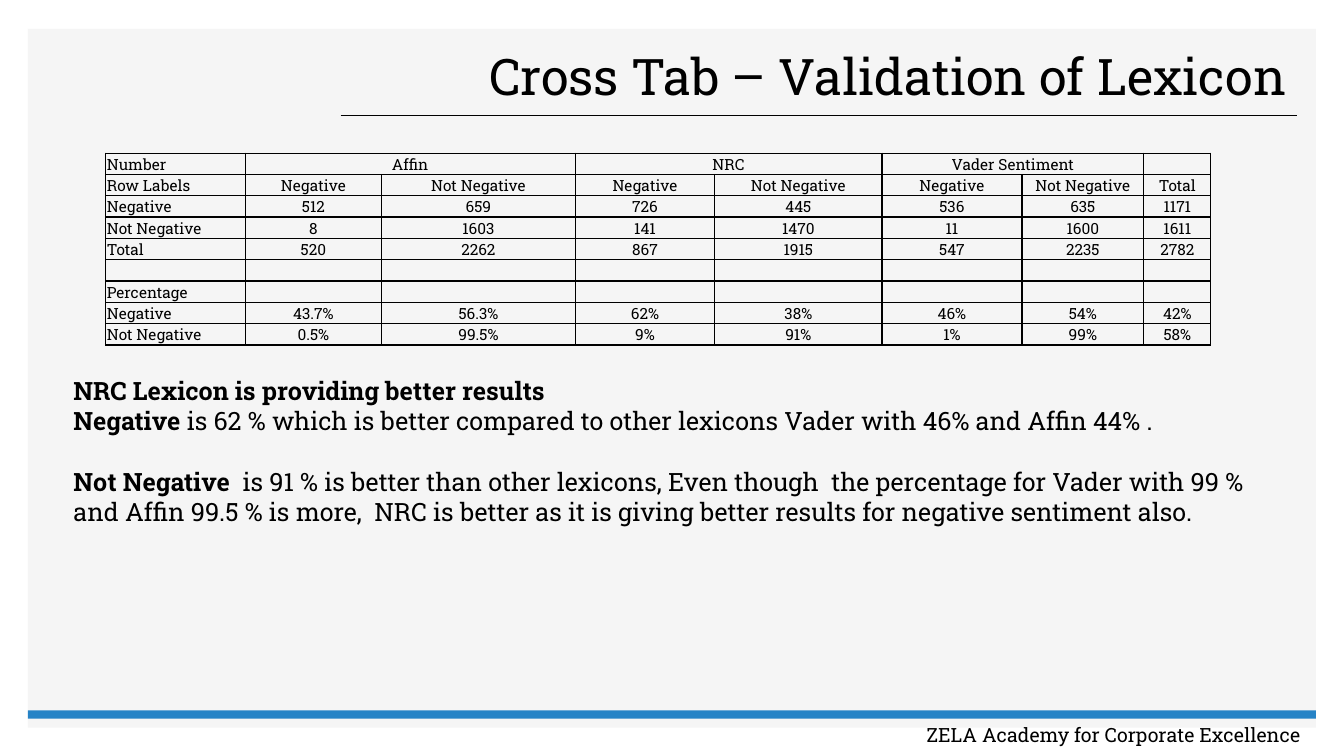
from lxml import etree
from pptx import Presentation
from pptx.dml.color import RGBColor
from pptx.enum import shapes, text
from pptx.oxml import ns
from pptx.util import Pt

COLOURS = {"ink": "000000", "panel": "F5F5F5", "accent": "2683C6"}
FONT = "Roboto Slab"
COLUMN_WIDTHS = [99.5, 97.6, 138.2, 99.7, 119.4, 100, 87.1, 47.9]
GROUPS = ["Affin", "NRC", "Vader Sentiment"]
ROWS = [
    ["Number", GROUPS[0], "", GROUPS[1], "", GROUPS[2], "", ""],
    ["Row Labels"] + ["Negative", "Not Negative"] * len(GROUPS) + ["Total"],
    ["Negative", "512", "659", "726", "445", "536", "635", "1171"],
    ["Not Negative", "8", "1603", "141", "1470", "11", "1600", "1611"],
    ["Total", "520", "2262", "867", "1915", "547", "2235", "2782"],
    [""] * 8,
    ["Percentage"] + [""] * 7,
    ["Negative", "43.7%", "56.3%", "62%", "38%", "46%", "54%", "42%"],
    ["Not Negative", "0.5%", "99.5%", "9%", "91%", "1%", "99%", "58%"],
]
FINDINGS = [
    (0, [("NRC Lexicon is providing better results", True)]),
    (0, [("Negative", True),
         (" is 62 % which is better compared to other lexicons Vader with 46% and Affin 44% .", False)]),
    (21.8, [("Not Negative", True),
            ("  is 91 % is better than other lexicons, Even though  the percentage for Vader with 99 % "
             "and Affin 99.5 % is more,  NRC is better as it is giving better results for negative "
             "sentiment also.", False)]),
]


def colour(name):
    """Return the named palette colour."""
    return RGBColor.from_string(COLOURS[name])


def add_span(para, words, size, bold=False):
    """Add one formatted run to a paragraph."""
    span = para.add_run()
    span.text = words
    span.font.name = FONT
    span.font.size = Pt(size)
    span.font.bold = bold
    span.font.color.rgb = colour("ink")


def add_block(page, box, fill):
    """Add a plain filled rectangle."""
    block = page.shapes.add_shape(shapes.MSO_SHAPE.RECTANGLE, *map(Pt, box))
    block.shadow.inherit = False
    block.fill.solid()
    block.fill.fore_color.rgb = colour(fill)
    block.line.fill.background()


def add_backdrop(page, box):
    """Draw the panel, the accent bar and the footer credit."""
    left, top, width, height = box
    add_block(page, box, "panel")
    bar_top = top + height - 12.2
    add_block(page, (left, bar_top, width, 5.8), "accent")
    footer = page.shapes.add_textbox(
        Pt(left + width - 376.6), Pt(bar_top + 5), Pt(376.6), Pt(24.5))
    frame = footer.text_frame
    frame.word_wrap = True
    frame.margin_right = Pt(10.8)
    para = frame.paragraphs[0]
    para.alignment = text.PP_ALIGN.RIGHT
    add_span(para, "ZELA Academy for Corporate Excellence", 14)


def add_heading(page, box):
    """Place the title and the rule under it."""
    left, top, width, height = box
    title = page.shapes.title
    title.left, title.top, title.width, title.height = map(Pt, box)
    page.shapes._spTree.append(title._element)
    frame = title.text_frame
    frame.word_wrap = True
    frame.auto_size = text.MSO_AUTO_SIZE.NONE
    frame.vertical_anchor = text.MSO_ANCHOR.MIDDLE
    para = frame.paragraphs[0]
    para.alignment = text.PP_ALIGN.RIGHT
    para.line_spacing = 0.9
    add_span(para, "Cross Tab – Validation of Lexicon", 36)
    right, bottom = left + width, top + height
    rule = page.shapes.add_connector(
        shapes.MSO_CONNECTOR.STRAIGHT, Pt(left - 23), Pt(bottom), Pt(right), Pt(bottom))
    rule.line.color.rgb = colour("ink")
    rule.line.width = Pt(1)
    etree.SubElement(rule._element.spPr, ns.qn("a:effectLst"))


def add_borders(cell):
    """Outline all four sides of a table cell."""
    properties = cell._tc.get_or_add_tcPr()
    for side in ("lnL", "lnR", "lnT", "lnB"):
        line = etree.SubElement(properties, ns.qn(f"a:{side}"), w=str(Pt(1)))
        fill = etree.SubElement(line, ns.qn("a:solidFill"))
        etree.SubElement(fill, ns.qn("a:srgbClr"), val=COLOURS["ink"])


def fill_cell(cell, words, alignment):
    """Style one table cell and write its words."""
    add_borders(cell)
    cell.fill.background()
    cell.margin_left = cell.margin_right = cell.margin_top = Pt(0.7)
    cell.margin_bottom = Pt(0)
    cell.vertical_anchor = text.MSO_ANCHOR.BOTTOM
    para = cell.text_frame.paragraphs[0]
    para.alignment = alignment
    if words:
        add_span(para, words, 11)
    else:
        end = etree.SubElement(para._p, ns.qn("a:endParaRPr"), sz="1100")
        etree.SubElement(end, ns.qn("a:latin"), typeface=FONT)


def add_cross_tab(page, box):
    """Build the cross tabulation of the three lexicons."""
    left, top, height = box
    holder = page.shapes.add_table(
        len(ROWS), len(COLUMN_WIDTHS), Pt(left), Pt(top), Pt(sum(COLUMN_WIDTHS)), Pt(height))
    table = holder.table
    table.first_row = table.horz_banding = False
    for column, width in zip(table.columns, COLUMN_WIDTHS):
        column.width = Pt(width)
    for row_index, row in enumerate(ROWS):
        table.rows[row_index].height = Pt(height / len(ROWS))
        for column_index, words in enumerate(row):
            alignment = text.PP_ALIGN.CENTER if column_index else text.PP_ALIGN.LEFT
            fill_cell(table.cell(row_index, column_index), words, alignment)
    for group in range(len(GROUPS)):
        first = 1 + 2 * group
        table.cell(0, first).merge(table.cell(0, first + 1))


def add_findings(page, box):
    """Write the conclusions under the table."""
    frame = page.shapes.add_textbox(*map(Pt, box)).text_frame
    frame.word_wrap = True
    for index, (gap, spans) in enumerate(FINDINGS):
        para = frame.add_paragraph() if index else frame.paragraphs[0]
        para.space_before = Pt(gap)
        for words, bold in spans:
            add_span(para, words, 18, bold)


def main():
    """Build and save the deck."""
    deck = Presentation()
    deck.slide_width, deck.slide_height = Pt(960), Pt(540)
    page = deck.slides.add_slide(deck.slide_layouts[5])
    add_backdrop(page, (20, 20.7, 920, 499))
    add_heading(page, (266.4, 30.2, 660.2, 52.4))
    add_cross_tab(page, (75.6, 109.4, 135.4))
    add_findings(page, (45.4, 264.2, 871.2, 116.6))
    deck.save("out.pptx")


if __name__ == "__main__":
    main()
